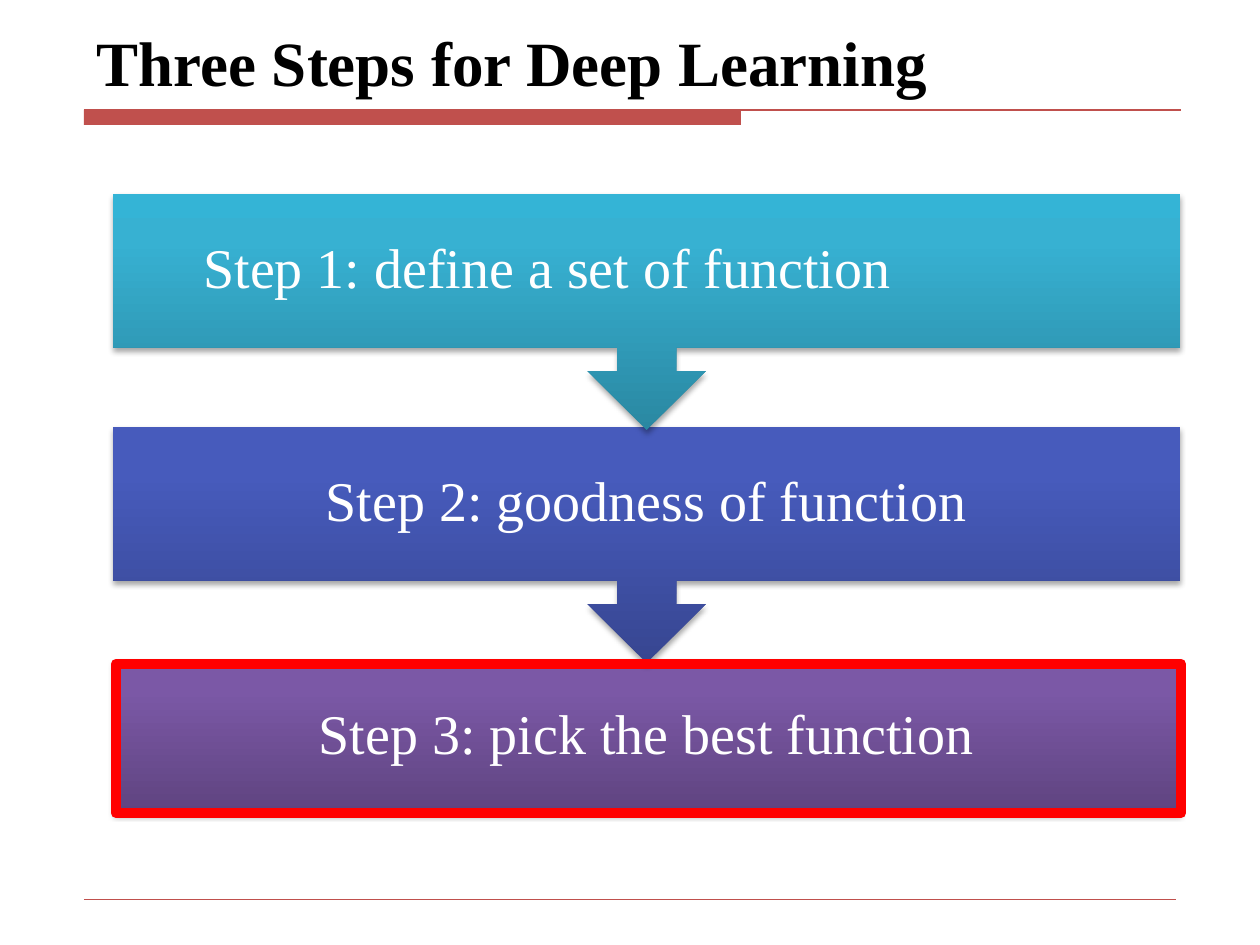
"""Build the slide showing the three steps for deep learning."""
from dataclasses import dataclass

from lxml.etree import SubElement
from pptx import Presentation
from pptx.dml.color import RGBColor
from pptx.enum.shapes import MSO_CONNECTOR as Connector, MSO_SHAPE as Preset
from pptx.enum.text import MSO_ANCHOR as Anchor, MSO_AUTO_SIZE as AutoSize, PP_ALIGN as Align
from pptx.oxml import parse_xml
from pptx.oxml.ns import nsdecls, qn
from pptx.shapes.autoshape import Shape
from pptx.slide import Slide
from pptx.text.text import TextFrame
from pptx.util import Emu, Pt


@dataclass(frozen=True)
class Theme:
    """Colours, font and type sizes of the slide."""
    font: str = "Times New Roman"
    title_size: int = 36
    step_size: int = 32
    title: str = "000000"
    step: str = "FFFFFF"
    rule: str = "C0504D"
    highlight: str = "FF0000"


@dataclass(frozen=True)
class Step:
    """One step: its text, gradient from bottom to top, and extra right inset."""
    text: str
    colors: tuple[str, str, str]
    arrow: bool = True
    extra_right: int = 0


THEME = Theme()
STEPS = (
    Step("Step 1: define a set of function", ("2A88A2", "37B1D2", "34B4D6"), extra_right=198),
    Step("Step 2: goodness of function", ("374691", "475BBC", "455ABF")),
    Step("Step 3: pick the best function", ("5F4480", "7B58A6", "7C57A8"), arrow=False),
)
STEP_LEFT, STEP_TOP, STEP_WIDTH, STEP_HEIGHT = 113, 194, 1067, 153
STEP_PITCH, CALLOUT_HEIGHT, STEP_INSET = 233, 236, 31


def px(length: int) -> Emu:
    """Turn pixels into EMU."""
    return Emu(round(length * 914400 / 126))


def format_text(frame: TextFrame, size: int, color: str, align: Align, bold: bool) -> None:
    """Format the single paragraph of a text frame."""
    para = frame.paragraphs[0]
    para.alignment = align
    para.line_spacing = 0.9
    font = para.runs[0].font
    font.name, font.size, font.bold = THEME.font, Pt(size), bold
    font.color.rgb = RGBColor.from_string(color)


def add_title(page: Slide, text: str) -> None:
    """Fill and place the title placeholder."""
    title = page.shapes.title
    title.left, title.top, title.width, title.height = px(84), px(26), px(1101), px(80)
    frame = title.text_frame
    frame.text = text
    frame.auto_size, frame.vertical_anchor = AutoSize.NONE, Anchor.BOTTOM
    format_text(frame, THEME.title_size, THEME.title, Align.LEFT, True)


def add_rule(page: Slide, right: int, y: int, weight: float) -> None:
    """Draw a horizontal rule from the left margin."""
    rule = page.shapes.add_connector(Connector.STRAIGHT, px(84), px(y), px(right), px(y))
    rule.line.color.rgb = RGBColor.from_string(THEME.rule)
    rule.line.width = Pt(weight)
    SubElement(rule._element.spPr, qn("a:effectLst"))


def add_box(page: Slide, preset: Preset, left: int, top: int, width: int, height: int) -> Shape:
    """Add a plain shape with no fill, line or shadow."""
    box = page.shapes.add_shape(preset, px(left), px(top), px(width), px(height))
    box.shadow.inherit = False
    box.fill.background()
    box.line.fill.background()
    return box


def shade(box: Shape, colors: tuple[str, str, str]) -> None:
    """Give a box an upright gradient and a soft shadow."""
    stops = "".join(
        f'<a:gs pos="{position}000"><a:srgbClr val="{color}"/></a:gs>'
        for position, color in zip((0, 80, 100), colors)
    )
    properties = box._element.spPr
    properties.replace(properties.find(qn("a:noFill")), parse_xml(
        f'<a:gradFill {nsdecls("a")} rotWithShape="0"><a:gsLst>{stops}</a:gsLst>'
        '<a:lin ang="16200000" scaled="0"/></a:gradFill>'))
    properties.find(qn("a:effectLst")).append(parse_xml(
        f'<a:outerShdw {nsdecls("a")} blurRad="{Pt(3.1)}" dist="{Pt(1.8)}" dir="5400000" '
        'rotWithShape="0"><a:srgbClr val="000000"><a:alpha val="35000"/></a:srgbClr>'
        '</a:outerShdw>'))


def add_step(page: Slide, step: Step, top: int) -> None:
    """Draw a step's block and its label."""
    preset = Preset.UP_ARROW_CALLOUT if step.arrow else Preset.RECTANGLE
    height = CALLOUT_HEIGHT if step.arrow else STEP_HEIGHT
    block = add_box(page, preset, STEP_LEFT, top, STEP_WIDTH, height)
    block.rotation = 180 if step.arrow else 0
    shade(block, step.colors)
    label = page.shapes.add_textbox(px(STEP_LEFT), px(top), px(STEP_WIDTH), px(STEP_HEIGHT))
    frame = label.text_frame
    frame.text = step.text
    frame.word_wrap, frame.vertical_anchor = True, Anchor.MIDDLE
    frame.margin_left = frame.margin_top = frame.margin_bottom = px(STEP_INSET)
    frame.margin_right = px(STEP_INSET + step.extra_right)
    format_text(frame, THEME.step_size, THEME.step, Align.CENTER, False)


def main() -> None:
    """Build and save the deck."""
    deck = Presentation()
    deck.slide_width, deck.slide_height = px(1260), px(945)
    page = deck.slides.add_slide(deck.slide_layouts[5])
    bar = add_box(page, Preset.RECTANGLE, 84, 110, 657, 15)
    bar.fill.solid()
    bar.fill.fore_color.rgb = RGBColor.from_string(THEME.rule)
    add_rule(page, 1181, 110, 0.75)
    add_rule(page, 1176, 899, 0.25)
    add_title(page, "Three Steps for Deep Learning")
    for index, step in reversed(list(enumerate(STEPS))):
        add_step(page, step, STEP_TOP + index * STEP_PITCH)
    highlight = add_box(page, Preset.RECTANGLE, 116, 664, 1065, 149)
    highlight.line.color.rgb = RGBColor.from_string(THEME.highlight)
    highlight.line.width = Pt(6)
    deck.save("out.pptx")


if __name__ == "__main__":
    main()
